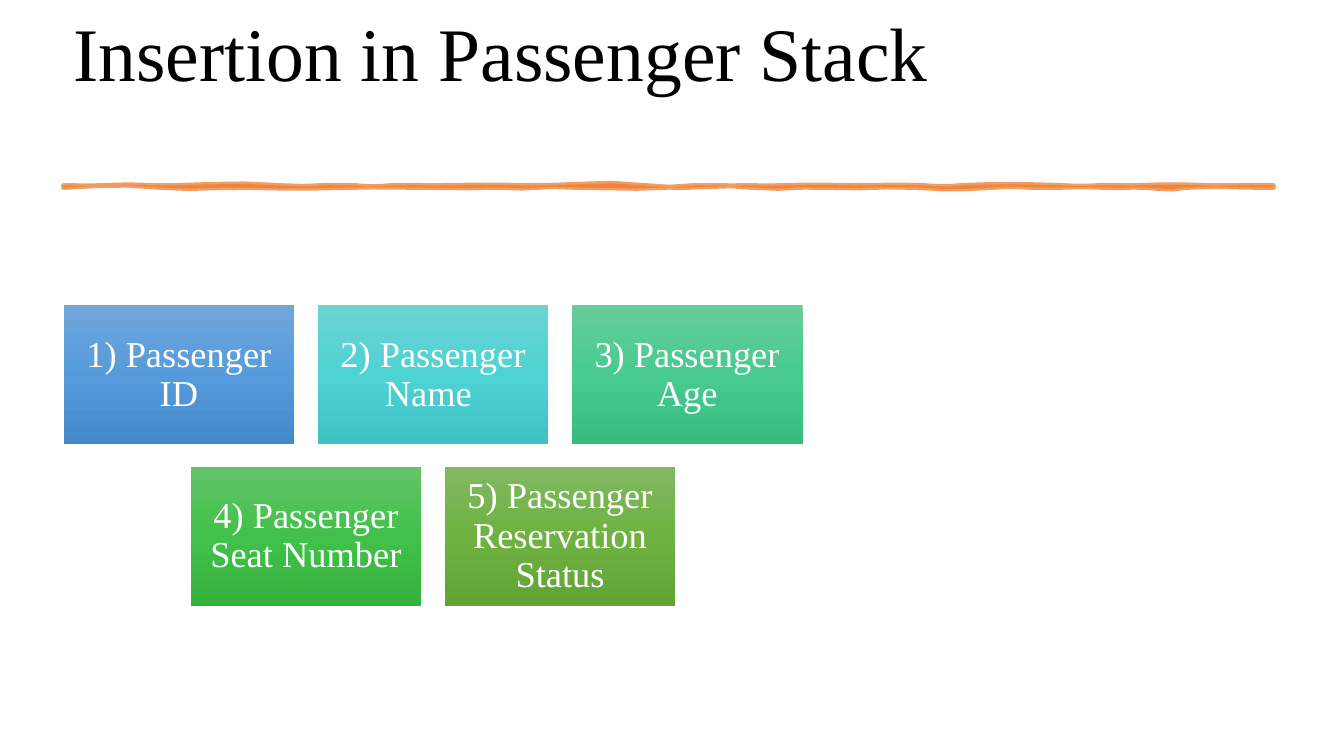
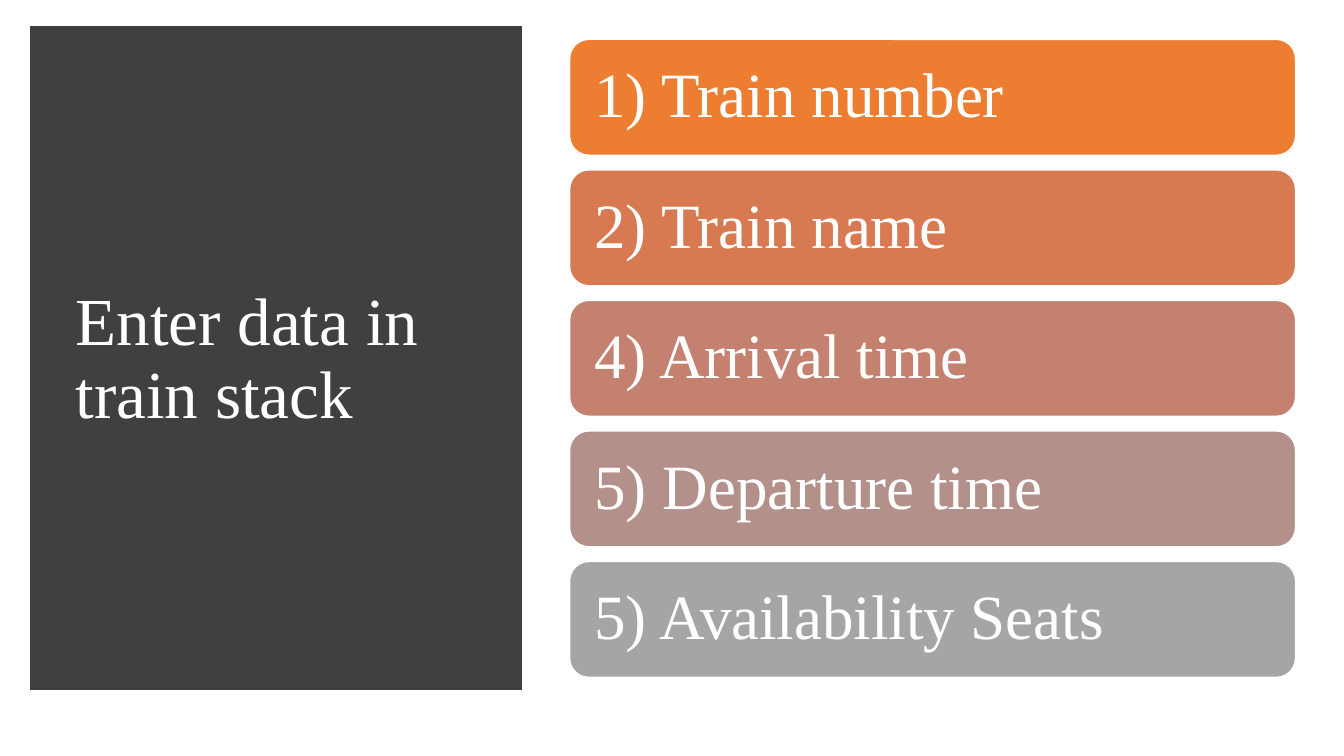
from copy import deepcopy
from dataclasses import dataclass

from lxml import etree
from pptx import Presentation
from pptx.dml.color import RGBColor
from pptx.enum.shapes import MSO_SHAPE
from pptx.enum.text import MSO_ANCHOR, PP_ALIGN
from pptx.oxml.ns import qn
from pptx.util import Inches, Pt

RECT = MSO_SHAPE.RECTANGLE
ROUND = MSO_SHAPE.ROUNDED_RECTANGLE
LEFT, CENTER = PP_ALIGN.LEFT, PP_ALIGN.CENTER
MIDDLE, BOTTOM = MSO_ANCHOR.MIDDLE, MSO_ANCHOR.BOTTOM

FONT = "Times New Roman"
BLACK = RGBColor(0x00, 0x00, 0x00)
WHITE = RGBColor(0xFF, 0xFF, 0xFF)
ORANGE = RGBColor(0xED, 0x7D, 0x31)
DARK = RGBColor(0x40, 0x40, 0x40)
RUST = RGBColor(0xD8, 0x7A, 0x51)
ROSE = RGBColor(0xC4, 0x81, 0x70)
MAUVE = RGBColor(0xB4, 0x90, 0x8B)
GRAY = RGBColor(0xA5, 0xA5, 0xA5)
BLUES = RGBColor(0x71, 0xA6, 0xDB), RGBColor(0x55, 0x9B, 0xDB), RGBColor(0x44, 0x8A, 0xCA)
TEALS = RGBColor(0x6C, 0xD3, 0xD3), RGBColor(0x4E, 0xD2, 0xD3), RGBColor(0x3E, 0xC2, 0xC3)
MINTS = RGBColor(0x67, 0xCC, 0x9A), RGBColor(0x47, 0xCB, 0x8E), RGBColor(0x39, 0xBB, 0x7F)
GREENS = RGBColor(0x63, 0xC3, 0x68), RGBColor(0x42, 0xC1, 0x4A), RGBColor(0x34, 0xB2, 0x3D)
LIMES = RGBColor(0x81, 0xB8, 0x61), RGBColor(0x6F, 0xB2, 0x42), RGBColor(0x62, 0xA3, 0x36)


@dataclass(frozen=True)
class Box:
    left: float
    top: float
    width: float
    height: float

    def emu(self) -> tuple:
        return tuple(Inches(v) for v in (self.left, self.top, self.width, self.height))


@dataclass(frozen=True)
class Tile:
    text: str
    tones: tuple


@dataclass(frozen=True)
class Bar:
    text: str
    tone: RGBColor


TILES = (
    (
        Tile("1) Passenger ID", BLUES),
        Tile("2) Passenger Name ", TEALS),
        Tile("3) Passenger Age", MINTS),
    ),
    (
        Tile("4) Passenger Seat Number", GREENS),
        Tile("5) Passenger Reservation Status", LIMES),
    ),
)
BARS = (
    Bar("1) Train number", ORANGE),
    Bar("2) Train name", RUST),
    Bar("4) Arrival time", ROSE),
    Bar("5) Departure time", MAUVE),
    Bar("5) Availability Seats", GRAY),
)

START, END = 0.63, 12.63
UPPER = (
    (1.02, 0, 1), (1.77, -2, 1), (2.76, -1, -3), (3.51, 3, -2), (3.9, 2, 1),
    (4.41, -1, 1), (5.4, -1, 0), (6.39, 0, -5), (7.38, 5, 0), (7.77, 0, 1),
    (8.52, -1, 0), (9.15, 0, -1), (9.54, 1, 2), (10.53, -2, -1), (10.92, 1, 1),
    (11.31, -1, 1), (11.94, -1, -1), (END, 1, -1),
)
LOWER = (
    (11.76, 1, -3), (11.37, 3, 1), (10.98, -1, 1), (10.23, -2, 1), (9.84, -1, -2),
    (9.09, 2, 2), (8.22, -2, 2), (7.47, -2, 3), (6.6, -3, -3), (5.73, 2, 0),
    (5.34, 0, -2), (4.83, 2, -1), (4.2, 1, 0), (3.45, 0, -1), (2.46, 1, 1),
    (1.59, -1, 3), (START, -4, -2),
)


def write(shape, text: str, *, size: float, color: RGBColor = WHITE,
          align=LEFT, anchor=MIDDLE, side: float = 0.1, edge: float = 0.05) -> None:
    frame = shape.text_frame
    frame.word_wrap = True
    frame.vertical_anchor = anchor
    frame.margin_left = frame.margin_right = Inches(side)
    frame.margin_top = frame.margin_bottom = Inches(edge)
    para = frame.paragraphs[0]
    para.alignment = align
    para.line_spacing = 0.9
    run = para.add_run()
    run.text = text
    run.font.name = FONT
    run.font.size = Pt(size)
    run.font.color.rgb = color


def title(slide, text: str, box: Box, **look) -> None:
    write(slide.shapes.add_textbox(*box.emu()), text, **look)


def block(slide, kind, box: Box, fill: RGBColor, line: RGBColor, width: float):
    shape = slide.shapes.add_shape(kind, *box.emu())
    shape.shadow.inherit = False
    shape.fill.solid()
    shape.fill.fore_color.rgb = fill
    shape.line.color.rgb = line
    shape.line.width = Pt(width)
    edge = shape.element.spPr.find(qn("a:ln"))
    etree.SubElement(edge, qn("a:miter")).set("lim", "800000")
    return shape


def tile(slide, item: Tile, box: Box) -> None:
    shape = slide.shapes.add_shape(RECT, *box.emu())
    shape.shadow.inherit = False
    shape.line.fill.background()
    shape.fill.gradient()
    shape.fill.gradient_angle = 270
    stops = shape.element.spPr.find(".//" + qn("a:gsLst"))
    stops.insert(1, deepcopy(stops[0]))
    for stop, tone, place in zip(shape.fill.gradient_stops, item.tones, (0, 0.5, 1)):
        stop.color.rgb = tone
        stop.position = place
    write(shape, item.text, size=26, align=CENTER, side=0.11, edge=0.11)


def curve(left: float, base: float, steps: tuple) -> list:
    points = []
    for right, lead, trail in steps:
        for t in (1 / 3, 2 / 3, 1):
            bend = 3 * t * (1 - t) * ((1 - t) * lead + t * trail) / 100
            points.append((Inches(left + (right - left) * t), Inches(base + bend)))
        left = right
    return points


def rule(slide) -> None:
    high, low = 1.84, 1.86
    points = curve(START, high, UPPER) + [(Inches(END), Inches(low))]
    points += curve(END, low, LOWER)
    pen = slide.shapes.build_freeform(Inches(START), Inches(high))
    pen.add_line_segments(points, close=True)
    shape = pen.convert_to_shape()
    shape.shadow.inherit = False
    shape.fill.solid()
    shape.fill.fore_color.rgb = ORANGE
    shape.line.color.rgb = ORANGE
    shape.line.width = Pt(3.5)
    for color in shape.element.spPr.iter(qn("a:srgbClr")):
        etree.SubElement(color, qn("a:alpha")).set("val", "75000")


def riders(slide) -> None:
    title(slide, "Insertion in Passenger Stack ", Box(0.63, 0.17, 12.05, 0.85),
          size=54, color=BLACK, anchor=BOTTOM)
    rule(slide)
    step, drop = 2.52, 1.6
    for row, items in enumerate(TILES):
        left = START + (len(TILES[0]) - len(items)) * step / 2
        for col, item in enumerate(items):
            tile(slide, item, Box(left + col * step, 3.03 + row * drop, 2.29, 1.38))


def trains(slide) -> None:
    block(slide, RECT, Box(0.37, 0.33, 4.74, 6.45), DARK, DARK, 10)
    title(slide, "Enter data in train stack", Box(0.65, 0.7, 4.16, 5.75), size=48)
    first, last = 0.39, 5.57
    step = (last - first) / (len(BARS) - 1)
    for row, bar in enumerate(BARS):
        box = Box(5.65, first + row * step, 7.2, 1.15)
        shape = block(slide, ROUND, box, bar.tone, WHITE, 1)
        write(shape, bar.text, size=45, side=0.19, edge=0.19)


def main() -> None:
    deck = Presentation()
    deck.slide_width, deck.slide_height = Inches(13.33), Inches(7.5)
    for draw in (riders, trains):
        draw(deck.slides.add_slide(deck.slide_layouts[6]))
    deck.save("out.pptx")


if __name__ == "__main__":
    main()
